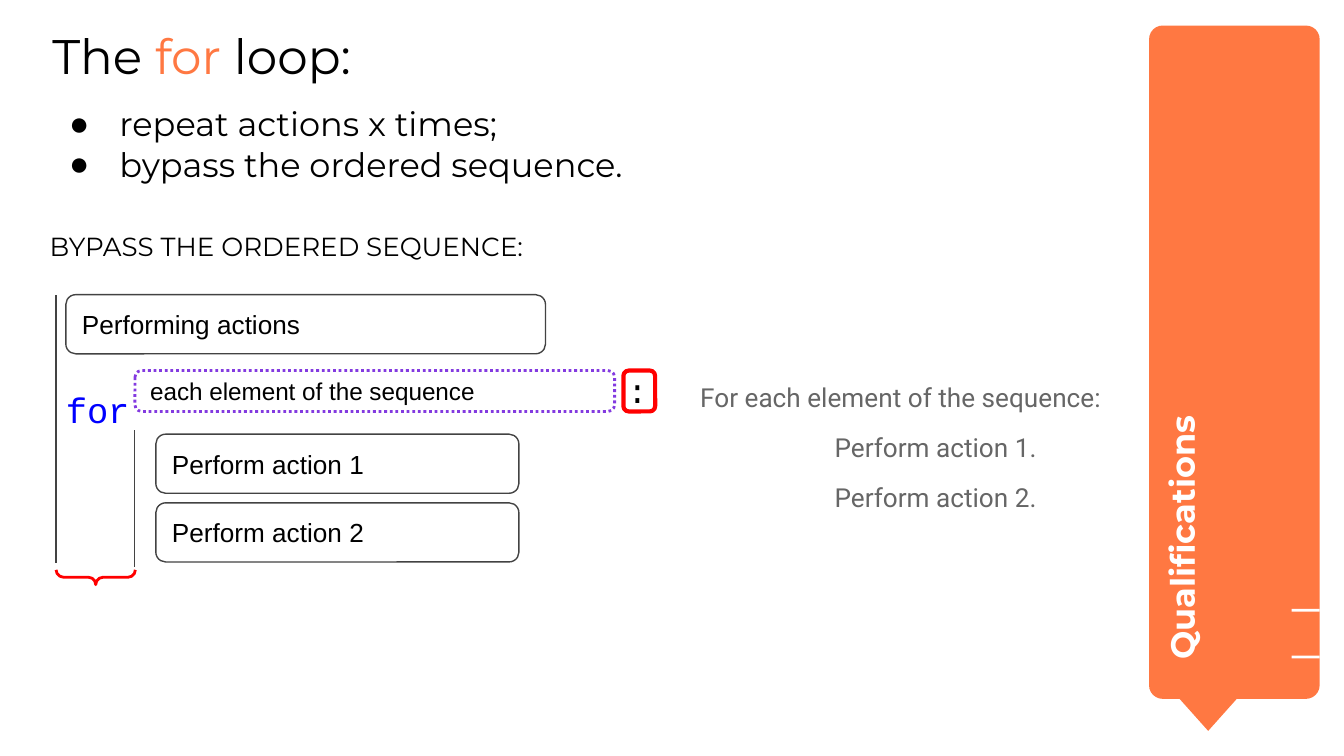
from dataclasses import dataclass

import pptx
import pptx.dml.color
import pptx.enum.dml
import pptx.enum.shapes
import pptx.enum.text
import pptx.oxml
import pptx.oxml.ns
import pptx.util

Pt = pptx.util.Pt
KIND = pptx.enum.shapes.MSO_SHAPE
ANCHOR = pptx.enum.text.MSO_ANCHOR
LEFT = pptx.enum.text.PP_ALIGN.LEFT
BLACK, WHITE, GRAY = "000000", "FFFFFF", "434343"
ORANGE, RED = "FF7842", "FF0000"


@dataclass
class Box:
    left: float
    top: float
    width: float
    height: float


@dataclass
class Style:
    size: float
    face: str
    color: str = BLACK
    bold: bool = False


@dataclass
class Line:
    color: str
    width: float
    dots: bool = False


@dataclass
class Step:
    text: str
    box: Box
    size: float
    line: Line


def paint(target, color: str) -> None:
    target.rgb = pptx.dml.color.RGBColor.from_string(color)


def place(shape, box: Box) -> None:
    shape.left, shape.top = Pt(box.left), Pt(box.top)
    shape.width, shape.height = Pt(box.width), Pt(box.height)


def style(para, look: Style) -> None:
    para.alignment = LEFT
    para.font.size = Pt(look.size)
    para.font.name = look.face
    para.font.bold = look.bold
    paint(para.font.color, look.color)


def frame(shape, pad: float, anchor=ANCHOR.TOP):
    body = shape.text_frame
    body.word_wrap = True
    body.auto_size = pptx.enum.text.MSO_AUTO_SIZE.NONE
    body.vertical_anchor = anchor
    body.margin_left = body.margin_right = Pt(pad)
    body.margin_top = body.margin_bottom = Pt(pad)
    return body


def label(slide, text: str, box: Box, look: Style):
    shape = slide.shapes.add_textbox(0, 0, 0, 0)
    place(shape, box)
    body = frame(shape, 7.2)
    body.text = text
    for para in body.paragraphs:
        style(para, look)
    return shape


def block(slide, kind, box: Box, fill: str = "", line: Line | None = None):
    shape = slide.shapes.add_shape(kind, 0, 0, 0, 0)
    place(shape, box)
    shape.shadow.inherit = False
    if fill:
        shape.fill.solid()
        paint(shape.fill.fore_color, fill)
    else:
        shape.fill.background()
    if line:
        paint(shape.line.color, line.color)
        shape.line.width = Pt(line.width)
        if line.dots:
            shape.line.dash_style = pptx.enum.dml.MSO_LINE.ROUND_DOT
    else:
        shape.line.fill.background()
    return shape


def rule(slide, x: float, top: float, end: float) -> None:
    line = slide.shapes.add_connector(
        pptx.enum.shapes.MSO_CONNECTOR.STRAIGHT, Pt(x), Pt(top), Pt(x), Pt(end))
    paint(line.line.color, GRAY)
    line.line.width = Pt(0.75)
    props = line._element.spPr
    props.append(pptx.oxml.parse_xml(f'<a:effectLst {pptx.oxml.ns.nsdecls("a")}/>'))


def bullet(para) -> None:
    props = para._p.get_or_add_pPr()
    props.set("marL", str(Pt(36)))
    props.set("indent", str(Pt(-27)))
    space = pptx.oxml.ns.nsdecls("a")
    for part in (f'<a:buClr {space}><a:srgbClr val="{BLACK}"/></a:buClr>',
                 f'<a:buChar {space} char="●"/>'):
        props.append(pptx.oxml.parse_xml(part))


def banner(slide) -> None:
    panel = block(slide, KIND.ROUNDED_RECTANGLE, Box(615.6, 13.7, 91.4, 360.7), ORANGE)
    panel.adjustments[0] = 0.08
    block(slide, KIND.FLOWCHART_MERGE, Box(623.5, 365, 47.5, 26.6), ORANGE)
    name = label(slide, "Qualifications", Box(510.5, 190, 275, 66.2),
                 Style(18, "Montserrat", WHITE, True))
    name.rotation = 270
    for top in (326.2, 351.2):
        block(slide, KIND.RECTANGLE, Box(691.9, top, 15.1, 1.5), WHITE)


def heading(slide) -> None:
    title = slide.shapes.title
    place(title, Box(28, 13.7, 558.7, 34))
    para = frame(title, 0).paragraphs[0]
    style(para, Style(26, "Montserrat"))
    for text, color in (("The ", BLACK), ("for ", ORANGE), ("loop:", BLACK)):
        run = para.add_run()
        run.text = text
        paint(run.font.color, color)

    points = slide.placeholders[1]
    place(points, Box(28, 55.4, 558.7, 45))
    body = frame(points, 0)
    body.text = "repeat actions x times;\nbypass the ordered sequence."
    for para in body.paragraphs:
        bullet(para)
        para.space_before = Pt(0)
        style(para, Style(18, "Montserrat"))


def scheme(slide) -> None:
    word = label(slide, "for", Box(28.2, 189.4, 221, 36.7),
                 Style(19, "Courier New", "0000FF"))
    word.text_frame.paragraphs[0].line_spacing = 1.5
    rule(slide, 30, 158.2, 301.7)
    rule(slide, 72.2, 230.4, 303.8)
    brace = block(slide, KIND.RIGHT_BRACE, Box(47.3, 288, 7.9, 42.5),
                  line=Line(RED, 1.5))
    brace.adjustments[0] = 0.5
    brace.rotation = 90

    edge = Line(GRAY, 0.75)
    steps = [
        Step("Performing actions", Box(35.3, 157.9, 257, 31.7), 14, edge),
        Step("each element of the sequence", Box(72.3, 198.5, 257, 21.9), 13,
             Line("833AE0", 1.5, True)),
    ]
    steps += [Step(f"Perform action {i + 1}", Box(83.5, 232.6 + 36.8 * i, 194.5, 31.7),
                   14, edge) for i in range(2)]
    for step in steps:
        shape = block(slide, KIND.ROUNDED_RECTANGLE, step.box, WHITE, step.line)
        body = frame(shape, 7.2, ANCHOR.MIDDLE)
        body.text = step.text
        style(body.paragraphs[0], Style(step.size, "Arial"))

    label(slide, ":", Box(329, 190.8, 38, 36.7), Style(18, "Courier New"))
    block(slide, KIND.ROUNDED_RECTANGLE, Box(334, 198.5, 17, 21.9),
          line=Line(RED, 2.25))


def notes(slide) -> None:
    label(slide, "BYPASS THE ORDERED SEQUENCE:", Box(19.5, 116, 437, 29),
          Style(14, "Montserrat"))
    text = "For each element of the sequence:\nPerform action 1.\nPerform action 2."
    shape = label(slide, text, Box(368, 197.3, 229, 146.9),
                  Style(14, "Roboto", "666666"))
    for para in shape.text_frame.paragraphs[1:]:
        para._p.get_or_add_pPr().set("marL", str(Pt(72)))
        para.space_before = Pt(10)


def main() -> None:
    deck = pptx.Presentation()
    deck.slide_width, deck.slide_height = Pt(720), Pt(405)
    slide = deck.slides.add_slide(deck.slide_layouts[1])
    heading(slide)
    banner(slide)
    scheme(slide)
    notes(slide)
    deck.save("out.pptx")


if __name__ == "__main__":
    main()
